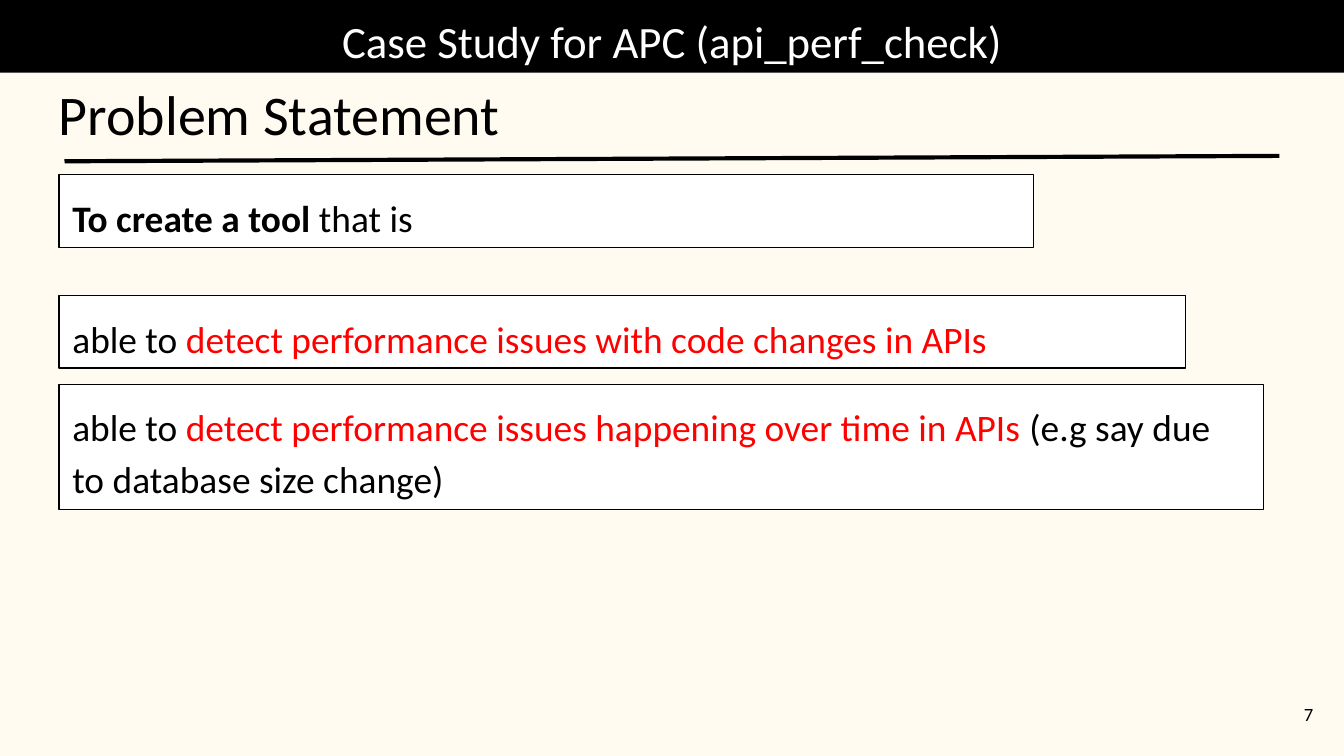
import pptx
import pptx.util
import pptx.dml.color
import pptx.enum.shapes
import pptx.enum.text
import pptx.oxml.ns
from lxml import etree

Inches = pptx.util.Inches
Align = pptx.enum.text.PP_ALIGN
Anchor = pptx.enum.text.MSO_ANCHOR
BLACK, WHITE, RED = "000000", "FFFFFF", "FF0000"


def paint(target, color):
    """Give a fill, or the solid colour of a line, a hex colour."""
    target.solid()
    target.fore_color.rgb = pptx.dml.color.RGBColor.from_string(color)


def write(shape, parts, size, align=Align.LEFT, anchor=Anchor.TOP):
    """Fill a shape with one paragraph of (text, colour, bold) parts."""
    frame = shape.text_frame
    frame.word_wrap = True
    frame.auto_size = pptx.enum.text.MSO_AUTO_SIZE.NONE
    frame.vertical_anchor = anchor
    frame.margin_left = frame.margin_right = Inches(0.1)
    frame.margin_top = frame.margin_bottom = Inches(0.1)
    para = frame.paragraphs[0]
    para.alignment = align
    for text, color, bold in parts:
        run = para.add_run()
        run.text = text
        run.font.name = "Calibri"
        run.font.size = pptx.util.Pt(size)
        run.font.bold = bold
        paint(run.font.fill, color)
    return para


# Slide in the ratio 16:9
prs = pptx.Presentation()
prs.slide_width = Inches(10)
prs.slide_height = Inches(10 * 9 / 16)
slide = prs.slides.add_slide(prs.slide_layouts[5])
shapes = slide.shapes
paint(slide.background.fill, "FFFBF0")

# Title bar
title = shapes.title
title.left, title.top = Inches(0), Inches(0)
title.width, title.height = Inches(10), Inches(0.54)
paint(title.fill, BLACK)
write(title, [("Case Study for APC (api_perf_check)", WHITE, False)], 24, Align.CENTER)

# Slide number
number = shapes.add_textbox(Inches(9.27), Inches(5.1), Inches(0.6), Inches(0.43))
write(number, [("7", BLACK, False)], 10, Align.RIGHT, Anchor.MIDDLE)

# Heading and its rule
heading = shapes.add_textbox(Inches(0.34), Inches(0.49), Inches(9.06), Inches(0.67))
write(heading, [("Problem Statement", BLACK, False)], 30)

rule = shapes.add_connector(
    pptx.enum.shapes.MSO_CONNECTOR.STRAIGHT,
    Inches(0.48), Inches(1.2), Inches(9.52), Inches(1.16))
paint(rule.line.fill, BLACK)
rule.line.width = pptx.util.Pt(2.25)
etree.SubElement(rule._element.spPr, pptx.oxml.ns.qn("a:effectLst"))

# Statement boxes: top, width, height, text parts
boxes = [
    (1.3, 7.25, 0.54, [("To create a tool ", BLACK, True), ("that is", BLACK, False)]),
    (2.2, 8.38, 0.54, [
        ("able to ", BLACK, False),
        ("detect performance issues with code changes in APIs", RED, False)]),
    (2.86, 8.96, 0.93, [
        ("able to ", BLACK, False),
        ("detect performance issues happening over time in APIs ", RED, False),
        ("(e.g say due to database size change)", BLACK, False)]),
]
for top, width, height, parts in boxes:
    box = shapes.add_shape(
        pptx.enum.shapes.MSO_SHAPE.RECTANGLE,
        Inches(0.44), Inches(top), Inches(width), Inches(height))
    box.shadow.inherit = False
    paint(box.fill, WHITE)
    paint(box.line.fill, BLACK)
    box.line.width = pptx.util.Pt(0.75)
    para = write(box, parts, 20)
    para.line_spacing = 1.15
    para.space_after = pptx.util.Pt(16)

prs.save("out.pptx")
